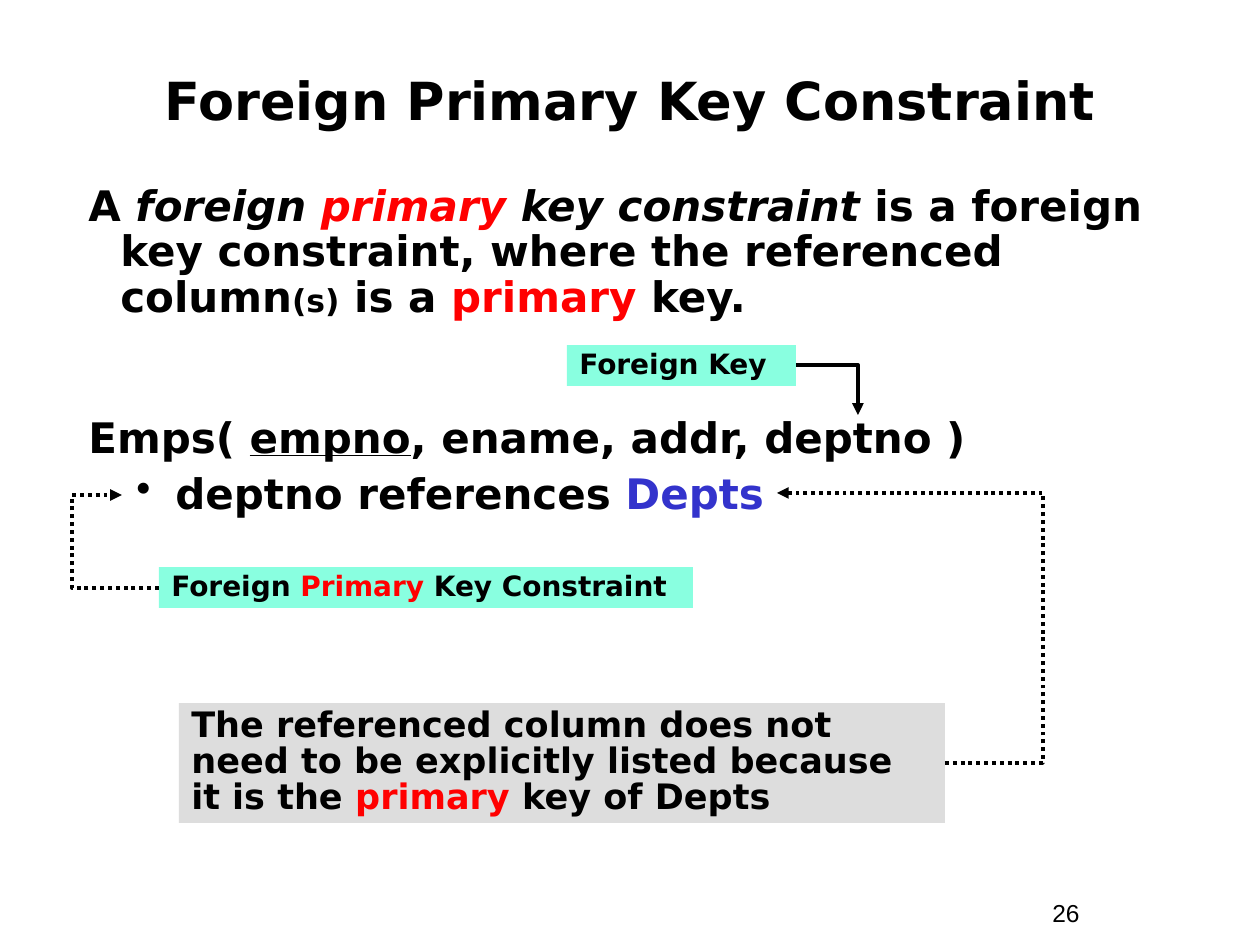
from lxml import etree
from pptx import Presentation
from pptx.dml.color import RGBColor
from pptx.enum.dml import MSO_LINE
from pptx.enum.shapes import MSO_CONNECTOR, MSO_SHAPE
from pptx.enum.text import MSO_ANCHOR, PP_ALIGN
from pptx.oxml.ns import qn
from pptx.util import Emu, Pt

RECTANGLE = MSO_SHAPE.RECTANGLE
ELBOW = MSO_CONNECTOR.ELBOW
DOTTED = MSO_LINE.ROUND_DOT
SOLID = MSO_LINE.SOLID
CENTER, LEFT = PP_ALIGN.CENTER, PP_ALIGN.LEFT
MIDDLE, TOP = MSO_ANCHOR.MIDDLE, MSO_ANCHOR.TOP
EMU_PER_PX = 914400 / 126
BLACK, RED, BLUE = "000000", "FF0000", "3333CC"
MINT, GRAY = "89FFE0", "DDDDDD"


def px(length):
    return Emu(round(length * EMU_PER_PX))


def color(hex_value):
    return RGBColor.from_string(hex_value)


def add_run(paragraph, text, size=24, font="DejaVu Sans", fill=BLACK,
            bold=True, italic=None, underline=None):
    run = paragraph.add_run()
    run.text = text
    run.font.size = Pt(size)
    run.font.name = font
    run.font.color.rgb = color(fill)
    run.font.bold = bold
    run.font.italic = italic
    run.font.underline = underline


class ConstraintSlide:
    """Draws the elements of one slide in a shared style."""

    def __init__(self, slide, line_width=2.25):
        self.slide = slide
        self.line_width = line_width

    def text(self, box, paragraphs, anchor=TOP):
        holder = self.slide.shapes.add_textbox(*map(px, box))
        self.fill_frame(holder.text_frame, paragraphs, anchor)

    def label(self, box, runs, fill, size):
        panel = self.slide.shapes.add_shape(RECTANGLE, *map(px, box))
        panel.shadow.inherit = False
        panel.fill.solid()
        panel.fill.fore_color.rgb = color(fill)
        panel.line.fill.background()
        sized = [(words, {"size": size, **style}) for words, style in runs]
        self.fill_frame(panel.text_frame, [{"runs": sized, "spacing": 0.85}], TOP)

    def fill_frame(self, frame, paragraphs, anchor):
        frame.word_wrap = True
        frame.vertical_anchor = anchor
        for index, content in enumerate(paragraphs):
            paragraph = frame.add_paragraph() if index else frame.paragraphs[0]
            paragraph.alignment = content.get("align", LEFT)
            paragraph.line_spacing = content.get("spacing", 1.0)
            if index:
                paragraph.space_before = Pt(content["before"])
            self.indent(paragraph, *content.get("indent", (0, 0)), content.get("bullet"))
            for words, style in content["runs"]:
                add_run(paragraph, words, **style)

    def indent(self, paragraph, margin, first, bullet):
        properties = paragraph._p.get_or_add_pPr()
        properties.set("marL", str(px(margin)))
        properties.set("indent", str(px(first)))
        if bullet:
            etree.SubElement(properties, qn("a:buChar")).set("char", bullet)

    def arrow(self, start, end, dash, via_x=None):
        connector = self.slide.shapes.add_connector(ELBOW, *map(px, start + end))
        connector.line.color.rgb = color(BLACK)
        connector.line.width = Pt(self.line_width)
        connector.line.dash_style = dash
        properties = connector._element.spPr
        line = properties.find(qn("a:ln"))
        etree.SubElement(line, qn("a:tailEnd")).set("type", "triangle")
        etree.SubElement(properties, qn("a:effectLst"))
        geometry = properties.find(qn("a:prstGeom"))
        if via_x is None:
            geometry.set("prst", "bentConnector2")
        else:
            bend = round(100000 * (via_x - start[0]) / (end[0] - start[0]))
            guide = etree.SubElement(geometry.find(qn("a:avLst")), qn("a:gd"))
            guide.set("name", "adj1")
            guide.set("fmla", f"val {bend}")


def main():
    deck = Presentation()
    deck.slide_width, deck.slide_height = px(1260), px(945)
    page = ConstraintSlide(deck.slides.add_slide(deck.slide_layouts[6]))

    page.text((1040, 892, 116, 43), [
        {"runs": [("26", {"size": 14, "font": "Arial", "bold": False})]}])
    page.text((42, 63, 1176, 73), [
        {"runs": [("Foreign Primary Key Constraint", {"size": 30})], "align": CENTER}],
        anchor=MIDDLE)

    hanging = {"indent": (32, -32), "spacing": 0.9}
    definition = [
        ("A ", {}),
        ("foreign ", {"italic": True}),
        ("primary", {"italic": True, "fill": RED}),
        (" key constraint", {"italic": True}),
        (" is a foreign key constraint, where the referenced column", {}),
        ("(s)", {"size": 18}),
        (" is a ", {}),
        ("primary", {"fill": RED}),
        (" key.", {}),
    ]
    table_schema = [
        ("Emps( ", {}),
        ("empno", {"underline": True}),
        (", ename, addr, deptno )", {}),
    ]
    reference = [("deptno references ", {}), ("Depts", {"fill": BLUE})]
    page.text((76, 179, 1124, 472), [
        {"runs": definition, **hanging},
        {"runs": table_schema, "before": 55, **hanging},
        {"runs": reference, "before": 6, "spacing": 0.9,
         "indent": (87, -39), "bullet": "•"},
    ])

    page.label((159, 567, 534, 41), [
        ("Foreign ", {}), ("Primary", {"fill": RED}), (" Key Constraint", {})], MINT, 16)
    page.arrow((159, 588), (122, 495), DOTTED, via_x=72)
    page.label((567, 345, 229, 41), [("Foreign Key", {})], MINT, 16)
    page.arrow((796, 365), (858, 415), SOLID)
    page.label((179, 703, 766, 120), [
        ("The referenced column does not need to be explicitly listed because it is the ", {}),
        ("primary", {"fill": RED}),
        (" key of Depts", {})], GRAY, 20)
    page.arrow((945, 763), (777, 493), DOTTED, via_x=1043)

    deck.save("out.pptx")


if __name__ == "__main__":
    main()
